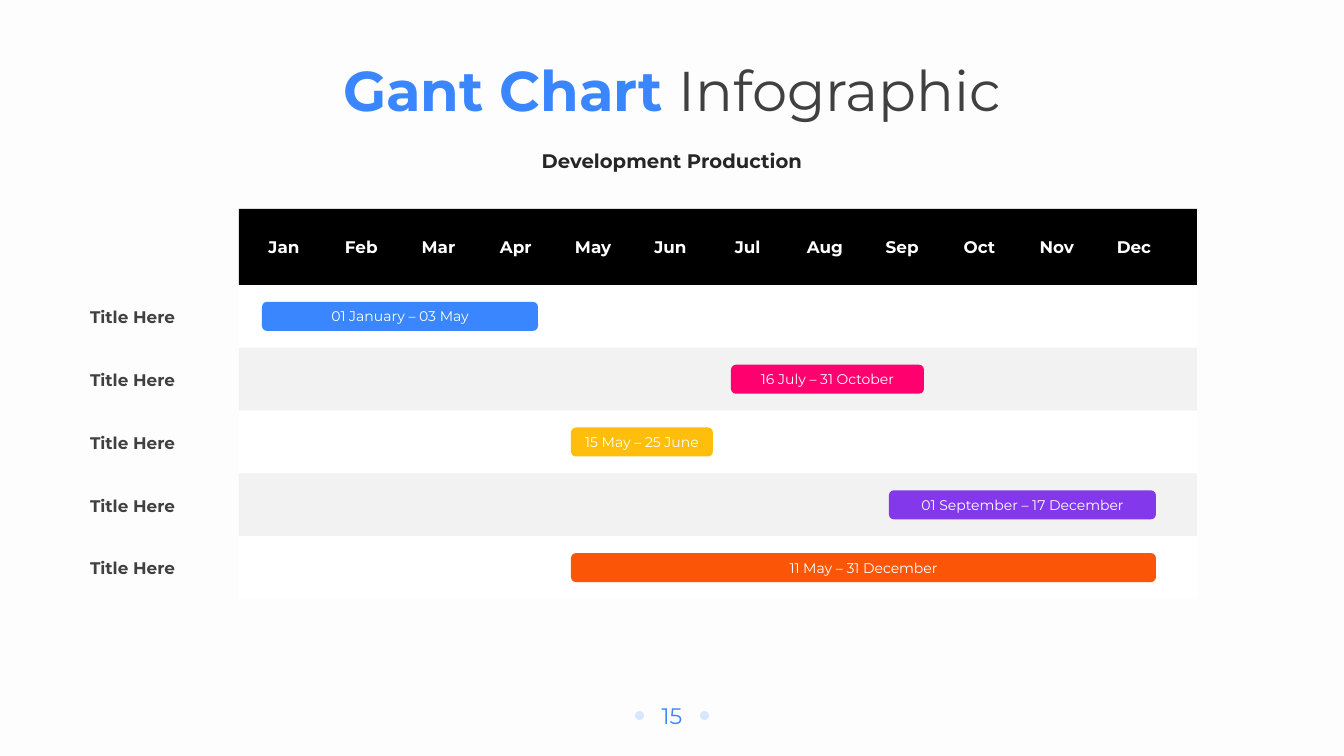
from pptx import Presentation
from pptx.dml.color import RGBColor
from pptx.enum.shapes import MSO_SHAPE
from pptx.enum.text import MSO_ANCHOR, MSO_AUTO_SIZE, PP_ALIGN
from pptx.util import Pt

TITLE = [("Gant Chart ", "blue", True), ("Infographic", "gray", False)]
SUBTITLE = "Development Production"
MONTHS = ["Jan", "Feb", "Mar", "Apr", "May", "Jun",
          "Jul", "Aug", "Sep", "Oct", "Nov", "Dec"]
# row title, bar text, bar left, bar width, bar colour
TASKS = [
    ("Title Here", "01 January – 03 May", 262, 276, "blue"),
    ("Title Here", "16 July – 31 October", 731, 193, "pink"),
    ("Title Here", "15 May – 25 June", 571, 142, "yellow"),
    ("Title Here", "01 September – 17 December", 889, 267, "purple"),
    ("Title Here", "11 May – 31 December", 571, 585, "orange"),
]
PAGE = "15"
COLORS = {
    "back": "FDFDFD", "white": "FFFFFF", "band": "F2F2F2", "black": "000000",
    "gray": "404040", "dark": "262626", "dot": "D8E7FF", "blue": "3A86FF",
    "pink": "FF006E", "yellow": "FFBE0B", "purple": "8338EC", "orange": "FB5607",
}
FONT = "Montserrat"
SLIDE_W, SLIDE_H = 1344, 756
SCALE = 12192000 / SLIDE_W

GRID_X, GRID_W = 239, 958
HEAD_Y, HEAD_H = 209, 76
ROWS_Y, ROWS_H = HEAD_Y + HEAD_H, 314
BAR_H, LABEL_H = 29, 20
MONTH_X, MONTH_W, LAST_MONTH_X = 262, 44, 1112


def emu(px):
    return round(px * SCALE)


def rgb(name):
    return RGBColor.from_string(COLORS[name])


def write(s, text, size=12, color="white", bold=False, align=PP_ALIGN.CENTER,
          anchor=MSO_ANCHOR.MIDDLE, wrap=True, spacing=None):
    """Fill a shape with text, or with (text, colour, bold) runs."""
    runs = [(text, color, bold)] if isinstance(text, str) else text
    tf = s.text_frame
    tf.margin_left = tf.margin_right = tf.margin_top = tf.margin_bottom = 0
    tf.auto_size = MSO_AUTO_SIZE.NONE
    tf.word_wrap = wrap
    tf.vertical_anchor = anchor
    p = tf.paragraphs[0]
    p.alignment = align
    if spacing:
        p.line_spacing = Pt(spacing)
    for part, part_color, part_bold in runs:
        r = p.add_run()
        r.text = part
        r.font.name = FONT
        r.font.size = Pt(size)
        r.font.bold = part_bold
        r.font.color.rgb = rgb(part_color)


def add_label(x, y, w, h, text, **fmt):
    s = slide.shapes.add_textbox(emu(x), emu(y), emu(w), emu(h))
    write(s, text, **fmt)


def add_block(x, y, w, h, color, kind=MSO_SHAPE.RECTANGLE):
    s = slide.shapes.add_shape(kind, emu(x), emu(y), emu(w), emu(h))
    s.shadow.inherit = False
    s.fill.solid()
    s.fill.fore_color.rgb = rgb(color)
    s.line.fill.background()
    return s


prs = Presentation()
prs.slide_width, prs.slide_height = emu(SLIDE_W), emu(SLIDE_H)
slide = prs.slides.add_slide(prs.slide_layouts[5])
slide.background.fill.solid()
slide.background.fill.fore_color.rgb = rgb("back")

title = slide.shapes.title
title.left, title.top, title.width, title.height = map(emu, (328, 50, 688, 78))
write(title, TITLE, size=40)
add_label(351, 131, 642, 37, SUBTITLE, size=14, color="dark", bold=True,
          anchor=MSO_ANCHOR.TOP, spacing=29.8)

row_h = ROWS_H / len(TASKS)
for i, (name, dates, bar_x, bar_w, color) in enumerate(TASKS):
    y = ROWS_Y + i * row_h
    add_block(GRID_X, y, GRID_W, row_h, "band" if i % 2 else "white")
    add_label(90, y + 22, 149, LABEL_H, name, color="gray", bold=True,
              align=PP_ALIGN.LEFT)
    bar = add_block(bar_x, y + (row_h - BAR_H) / 2, bar_w, BAR_H, color,
                    MSO_SHAPE.ROUNDED_RECTANGLE)
    bar.adjustments[0] = 0.17
    write(bar, dates, size=10)

add_block(GRID_X, HEAD_Y, GRID_W, HEAD_H, "black")
month_step = (LAST_MONTH_X - MONTH_X) / (len(MONTHS) - 1)
for i, month in enumerate(MONTHS):
    add_label(MONTH_X + i * month_step, HEAD_Y + (HEAD_H - LABEL_H) / 2,
              MONTH_W, LABEL_H, month, bold=True, wrap=False)

add_label(641, 697, 62, 37, PAGE, size=16, color="blue")
for x in (635, 700):
    add_block(x, 711, 9, 9, "dot", MSO_SHAPE.OVAL)

prs.save("out.pptx")
